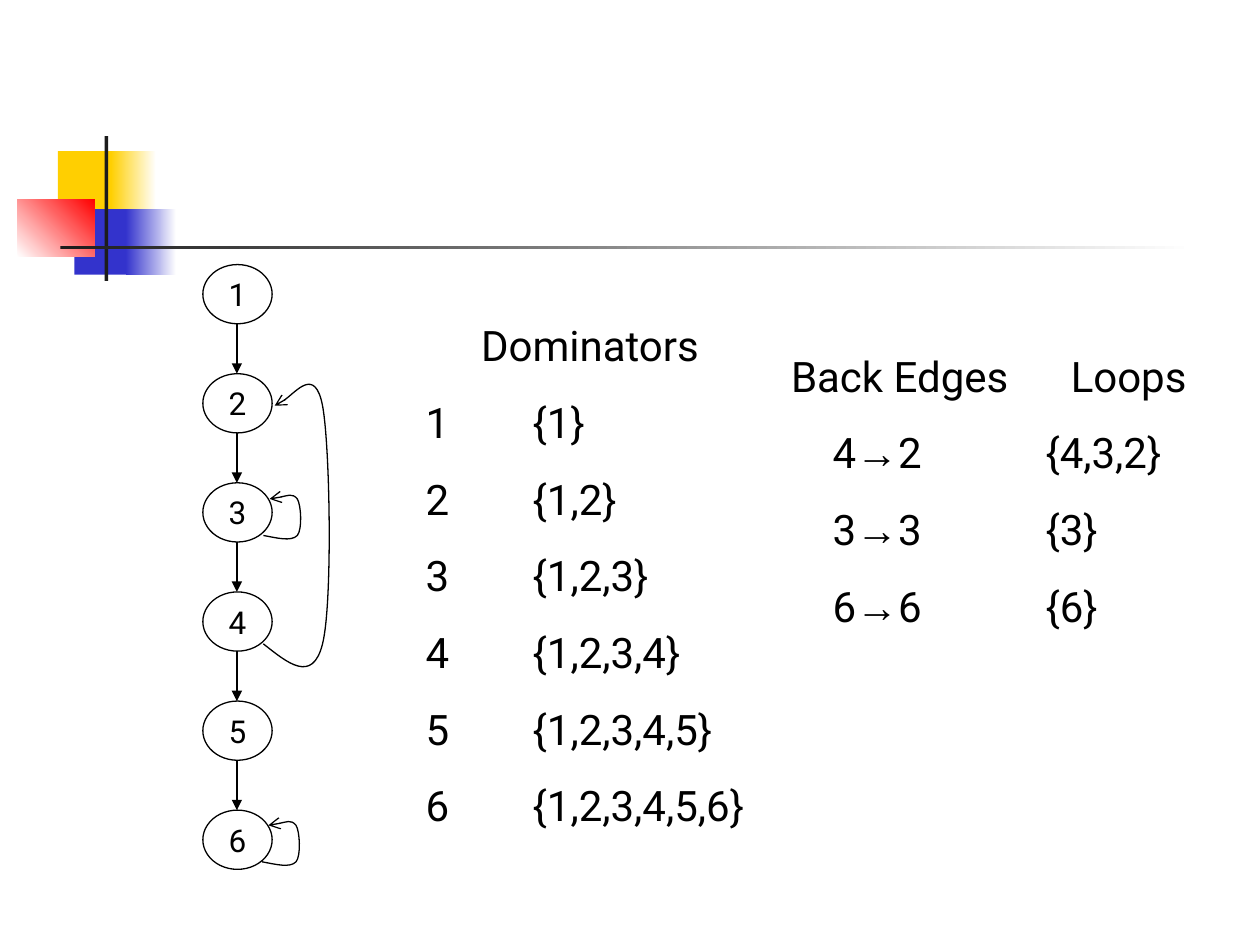
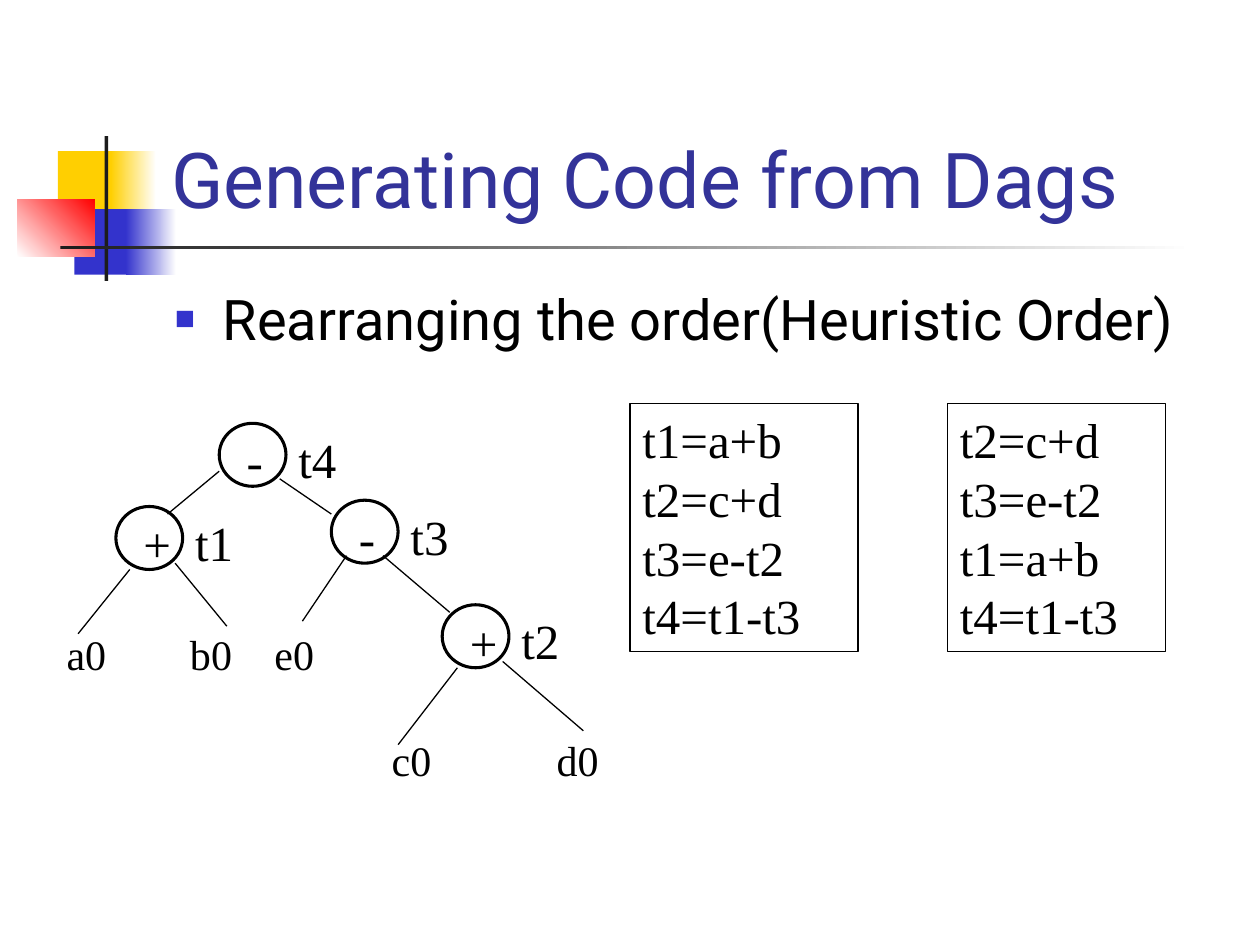
from pptx import Presentation
from pptx.dml.color import RGBColor
from pptx.enum.shapes import MSO_CONNECTOR, MSO_SHAPE
from pptx.enum.text import MSO_ANCHOR, PP_ALIGN
from pptx.oxml.ns import qn
from pptx.util import Inches, Pt
from lxml import etree

RECT, OVAL = MSO_SHAPE.RECTANGLE, MSO_SHAPE.OVAL
STRAIGHT = MSO_CONNECTOR.STRAIGHT
CENTER, MIDDLE, BOTTOM = PP_ALIGN.CENTER, MSO_ANCHOR.MIDDLE, MSO_ANCHOR.BOTTOM
SANS, SERIF, ARROW_FONT = "Roboto", "Times New Roman", "Arial"
BLACK, WHITE, DARK = "000000", "FFFFFF", "1C1C1C"
YELLOW, BLUE, RED, TITLE = "FFCF01", "3333CC", "FF0000", "333399"


def rgb(color):
    return RGBColor.from_string(color)


def write(sp, rows, size, font, color=BLACK, before=0, wrap=True):
    tf = sp.text_frame
    tf.word_wrap = wrap
    for i, (tabs, runs) in enumerate(rows):
        p = tf.add_paragraph() if i else tf.paragraphs[0]
        if i and before:
            p.space_before = Pt(before)
        if tabs:
            tab_list = etree.SubElement(p._p.get_or_add_pPr(), qn("a:tabLst"))
            for tab in tabs:
                etree.SubElement(tab_list, qn("a:tab"), pos=str(Inches(tab)), algn="l")
        for text in runs:
            r = p.add_run()
            r.text = text
            r.font.size = Pt(size)
            r.font.name = ARROW_FONT if text == "→" else font
            r.font.color.rgb = rgb(color)
    return tf


prs = Presentation()
prs.slide_width, prs.slide_height = Inches(10), Inches(7.5)
flow, dag = [prs.slides.add_slide(prs.slide_layouts[6]) for _ in range(2)]

band = [
    ((0.46, 1.2, 0.48, 0.52), (YELLOW,), 0),
    ((0.88, 1.2, 0.36, 0.52), (YELLOW, WHITE), 0),
    ((0.59, 1.66, 0.46, 0.52), (BLUE,), 0),
    ((1, 1.66, 0.4, 0.52), (BLUE, WHITE), 0),
    ((0.14, 1.58, 0.61, 0.46), (WHITE, RED), 45),
    ((0.83, 1.08, 0.03, 1.15), (DARK,), 0),
    ((0.48, 1.95, 9, 0.03), (DARK, WHITE), 0),
]
for slide in (flow, dag):
    for box, colors, angle in band:
        sp = slide.shapes.add_shape(RECT, *map(Inches, box))
        sp.shadow.inherit = False
        sp.line.fill.background()
        if len(colors) == 1:
            sp.fill.solid()
            sp.fill.fore_color.rgb = rgb(colors[0])
        else:
            sp.fill.gradient()
            sp.fill.gradient_angle = angle
            for stop, color in zip(sp.fill.gradient_stops, colors):
                stop.color.rgb = rgb(color)

node_w, node_h, node_x, node_top, step = 0.55, 0.47, 1.61, 2.1, 4.33 / 5
circles = [(flow, node_x, node_top + step * i, node_w, node_h, 0.75, str(i + 1)) for i in range(6)]

tree = [
    ("-", "t4", 1.74, 3.36, 0.33),
    ("-", "t3", 2.63, 3.97, 0.33),
    ("+", "t1", 0.92, 4.02, 0.42),
    ("+", "t2", 3.51, 4.8, 0.42),
]
circles += [(dag, x, y, 0.53, 0.5, 1.75, "") for _, _, x, y, _ in tree]

for slide, x, y, w, h, weight, label in circles:
    sp = slide.shapes.add_shape(OVAL, Inches(x), Inches(y), Inches(w), Inches(h))
    sp.shadow.inherit = False
    sp.fill.solid()
    sp.fill.fore_color.rgb = rgb(WHITE)
    sp.line.color.rgb = rgb(BLACK)
    sp.line.width = Pt(weight)
    if label:
        tf = write(sp, [((), [label])], 18, SANS, wrap=False)
        tf.vertical_anchor = MIDDLE
        tf.paragraphs[0].alignment = CENTER

dominators = [((0.69,), ["\tDominators"])]
for n in range(1, 7):
    members = ",".join(str(m) for m in range(1, n + 1))
    dominators.append(((0.25, 1.1), [f"\t{n}\t{{{members}}}"]))
sp = flow.shapes.add_textbox(Inches(3.03), Inches(2.49), Inches(3.47), Inches(4.15))
write(sp, dominators, 24, SANS, before=15)

loops = [((2.22,), ["Back Edges\tLoops"])]
for start, end, body in [(4, 2, "4,3,2"), (3, 3, "3"), (6, 6, "6")]:
    loops.append(((0.33, 2.02), [f"\t{start}", "→", f"{end}\t{{{body}}}"]))
sp = flow.shapes.add_textbox(Inches(6.18), Inches(2.73), Inches(3.86), Inches(2.33))
write(sp, loops, 24, SANS, before=15)

sp = dag.shapes.add_textbox(Inches(1.26), Inches(0.23), Inches(8.52), Inches(1.6))
tf = write(sp, [((), ["Generating Code from Dags"])], 44, SANS, TITLE)
tf.vertical_anchor = BOTTOM

sp = dag.shapes.add_textbox(Inches(1.29), Inches(2.21), Inches(8.5), Inches(4.5))
tf = write(sp, [((), ["Rearranging the order(Heuristic Order)"])], 32, SANS)
pPr = tf.paragraphs[0]._p.get_or_add_pPr()
pPr.set("marL", str(Inches(0.38)))
pPr.set("indent", str(-Inches(0.38)))
etree.SubElement(etree.SubElement(pPr, qn("a:buClr")), qn("a:srgbClr"), val=BLUE)
etree.SubElement(pPr, qn("a:buSzPct"), val="60000")
etree.SubElement(pPr, qn("a:buFont"), typeface=ARROW_FONT)
etree.SubElement(pPr, qn("a:buChar"), char="■")

for sign, name, x, y, w in tree:
    sp = dag.shapes.add_textbox(Inches(x + 0.12), Inches(y + 0.01), Inches(w), Inches(0.57))
    write(sp, [((), [sign])], 28, SERIF, wrap=False)
    sp = dag.shapes.add_textbox(Inches(x + 0.53), Inches(y), Inches(0.5), Inches(0.57))
    write(sp, [((), [name])], 28, SERIF, wrap=False)

leaves = [
    (0.43, 4.94, 2.44, (0.98, 1.65), "a0\tb0\te0"),
    (3.01, 5.78, 1.85, (1.31,), "c0\td0"),
]
for x, y, w, tabs, text in leaves:
    sp = dag.shapes.add_textbox(Inches(x), Inches(y), Inches(w), Inches(0.5))
    write(sp, [(tabs, [text])], 24, SERIF)

listings = [
    (5, 1.81, ["t1=a+b", "t2=c+d", "t3=e-t2", "t4=t1-t3"]),
    (7.52, 1.73, ["t2=c+d", "t3=e-t2", "t1=a+b", "t4=t1-t3"]),
]
for x, w, code in listings:
    sp = dag.shapes.add_textbox(Inches(x), Inches(3.2), Inches(w), Inches(1.97))
    sp.line.color.rgb = rgb(BLACK)
    sp.line.width = Pt(0.75)
    write(sp, [((), [line]) for line in code], 28, SERIF)

edges = []
for i in range(5):
    y = node_top + step * i
    edges.append((flow, [(1.88, y + node_h), (1.88, y + step)], "triangle"))

self_loop = [(0, 0.34), (0.11, 0.36), (0.22, 0.39), (0.27, 0.34), (0.31, 0.29),
             (0.3, 0.1), (0.27, 0.05), (0.23, 0), (0.09, 0.05), (0.05, 0.05)]
for x, y in [(2.09, 3.91), (2.08, 6.5)]:
    edges.append((flow, [(x + dx, y + dy) for dx, dy in self_loop], "arrow"))
edges.append((flow, [(2.09, 5.11), (2.28, 5.26), (2.48, 5.43), (2.56, 5.11), (2.64, 4.79),
                     (2.62, 3.54), (2.56, 3.22), (2.5, 2.91), (2.24, 3.22), (2.18, 3.22)], "arrow"))

branches = [
    [(1.74, 3.74), (1.33, 4.08)], [(2.22, 3.8), (2.63, 4.08)],
    [(2.75, 4.41), (2.4, 4.93)], [(3.04, 4.41), (3.57, 4.86)],
    [(3.63, 5.3), (3.16, 5.91)], [(3.99, 5.25), (4.63, 5.8)],
    [(1.03, 4.52), (0.62, 5.03)], [(1.39, 4.47), (1.8, 4.97)],
]
edges += [(dag, points, None) for points in branches]

for slide, points, head in edges:
    points = [(Inches(x), Inches(y)) for x, y in points]
    if len(points) == 2:
        sp = slide.shapes.add_connector(STRAIGHT, *points[0], *points[1])
    else:
        fb = slide.shapes.build_freeform(*points[0])
        fb.add_line_segments(points[1:], close=False)
        sp = fb.convert_to_shape()
        sp.fill.background()
        segments = list(sp._element.iter(qn("a:lnTo")))
        for i in range(0, len(segments), 3):
            curve = etree.SubElement(segments[i].getparent(), qn("a:cubicBezTo"))
            for segment in segments[i:i + 3]:
                curve.append(segment[0])
                segment.getparent().remove(segment)
    sp.line.color.rgb = rgb(BLACK)
    sp.line.width = Pt(0.75)
    spPr = sp._element.spPr
    if head:
        etree.SubElement(spPr.find(qn("a:ln")), qn("a:tailEnd"), type=head)
    etree.SubElement(spPr, qn("a:effectLst"))

prs.save("out.pptx")
